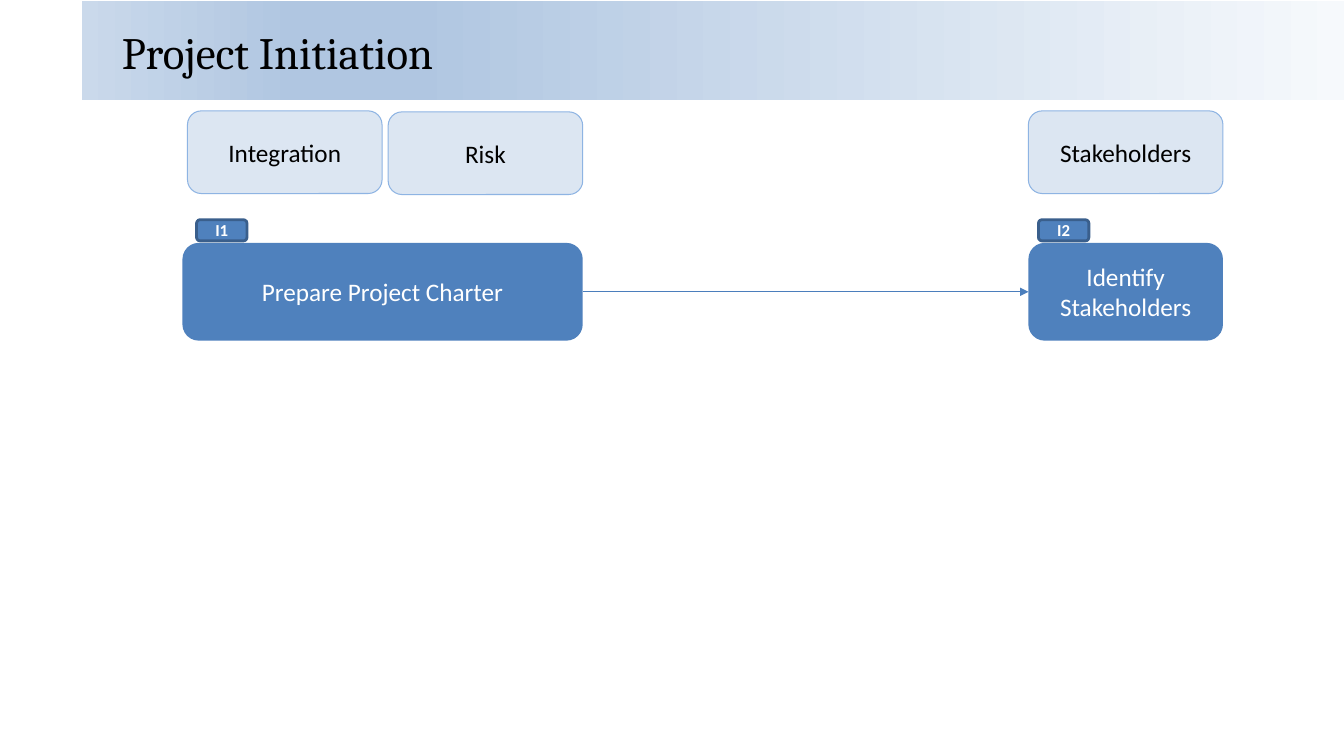
from lxml import etree
from pptx import Presentation
from pptx.dml.color import RGBColor
from pptx.enum.shapes import MSO_CONNECTOR, MSO_SHAPE
from pptx.enum.text import MSO_ANCHOR, PP_ALIGN
from pptx.oxml import parse_xml
from pptx.oxml.ns import nsdecls, qn
from pptx.util import Inches, Pt

RECTANGLE = MSO_SHAPE.RECTANGLE
ROUNDED = MSO_SHAPE.ROUNDED_RECTANGLE
STRAIGHT = MSO_CONNECTOR.STRAIGHT
MIDDLE = MSO_ANCHOR.MIDDLE
LEFT, CENTER = PP_ALIGN.LEFT, PP_ALIGN.CENTER

COLORS = {
    "process": "4F81BD", "badge_line": "3A5F8C", "arrow": "4B7EBC",
    "area": "DCE6F2", "area_line": "8EB4E3",
    "dark": "000000", "light": "FFFFFF",
}
BANNER_STOPS = [(0, "F6F9FC"), (74, "B0C6E1"), (83, "B0C6E1"), (100, "CAD9EB")]

# Grid: column lefts, row tops and box sizes in inches
SLIDE_WIDTH, SLIDE_HEIGHT = 13.33, 7.5
INTEGRATION_LEFT, RISK_LEFT, STAKEHOLDERS_LEFT = 1.86, 3.85, 10.2
CHARTER_LEFT = 1.81
COLUMN_WIDTH = 1.93
AREA_TOP, AREA_HEIGHT = 1.1, 0.82
BADGE_TOP, BADGE_WIDTH, BADGE_HEIGHT = 2.18, 0.5, 0.21
PROCESS_TOP, PROCESS_HEIGHT = 2.41, 0.97
RISK_RIGHT = RISK_LEFT + COLUMN_WIDTH


def color(name):
    return RGBColor.from_string(COLORS[name])


def write(shape, text, size, text_color, font="Calibri", bold=False, align=CENTER):
    frame = shape.text_frame
    frame.word_wrap = True
    frame.vertical_anchor = MIDDLE
    paragraph = frame.paragraphs[0]
    paragraph.alignment = align
    run = paragraph.add_run()
    run.text = text
    run.font.name = font
    run.font.size = Pt(size)
    run.font.bold = bold
    run.font.color.rgb = color(text_color)


def add_box(slide, left, top, width, height, fill, line=None, line_width=0.75):
    shape = slide.shapes.add_shape(
        ROUNDED, Inches(left), Inches(top), Inches(width), Inches(height))
    shape.shadow.inherit = False
    shape.fill.solid()
    shape.fill.fore_color.rgb = color(fill)
    if line:
        shape.line.color.rgb = color(line)
        shape.line.width = Pt(line_width)
    else:
        shape.line.fill.background()
    return shape


def add_area(slide, left, text, top=AREA_TOP):
    box = add_box(slide, left, top, COLUMN_WIDTH, AREA_HEIGHT, "area", "area_line")
    write(box, text, 18, "dark")


def add_process(slide, left, right, text):
    box = add_box(slide, left, PROCESS_TOP, right - left, PROCESS_HEIGHT, "process")
    write(box, text, 18, "light")


def add_badge(slide, left, text):
    box = add_box(slide, left, BADGE_TOP, BADGE_WIDTH, BADGE_HEIGHT,
                  "process", "badge_line", 2)
    frame = box.text_frame
    frame.margin_top = frame.margin_bottom = 0
    write(box, text, 12, "light", bold=True)


def add_arrow(slide, start, end, height):
    arrow = slide.shapes.add_connector(
        STRAIGHT, Inches(start), Inches(height), Inches(end), Inches(height))
    arrow.line.color.rgb = color("arrow")
    arrow.line.width = Pt(0.75)
    properties = arrow._element.spPr
    etree.SubElement(properties.find(qn("a:ln")), qn("a:tailEnd"), type="triangle")
    etree.SubElement(properties, qn("a:effectLst"))


def add_banner(slide):
    left = 0.81
    banner = slide.shapes.add_shape(
        RECTANGLE, Inches(left), Inches(0.01),
        Inches(SLIDE_WIDTH - left), Inches(0.98))
    banner.shadow.inherit = False
    banner.line.fill.background()
    banner.fill.gradient()
    # Four stops, running from right to left
    stops = "".join(
        f'<a:gs pos="{position * 1000}"><a:srgbClr val="{value}"/></a:gs>'
        for position, value in BANNER_STOPS)
    gradient = parse_xml(
        f'<a:gradFill {nsdecls("a")} rotWithShape="1"><a:gsLst>{stops}</a:gsLst>'
        '<a:lin ang="10800000" scaled="0"/></a:gradFill>')
    properties = banner._element.spPr
    properties.replace(properties.find(qn("a:gradFill")), gradient)


def add_title(slide, text):
    box = slide.shapes.add_textbox(
        Inches(1.11), Inches(0.06), Inches(11.78), Inches(0.91))
    write(box, text, 32, "dark", font="Cambria", align=LEFT)


def main():
    presentation = Presentation()
    presentation.slide_width = Inches(SLIDE_WIDTH)
    presentation.slide_height = Inches(SLIDE_HEIGHT)
    slide = presentation.slides.add_slide(presentation.slide_layouts[6])

    # Heading
    add_banner(slide)
    add_title(slide, "Project Initiation")

    # Processes and the flow between them
    add_process(slide, CHARTER_LEFT, RISK_RIGHT, "Prepare Project Charter")
    add_process(slide, STAKEHOLDERS_LEFT, STAKEHOLDERS_LEFT + COLUMN_WIDTH,
                "Identify Stakeholders")
    add_arrow(slide, RISK_RIGHT, STAKEHOLDERS_LEFT, PROCESS_TOP + PROCESS_HEIGHT / 2)

    # Knowledge areas
    add_area(slide, RISK_LEFT, "Risk", AREA_TOP + 0.01)
    add_area(slide, INTEGRATION_LEFT, "Integration")
    add_area(slide, STAKEHOLDERS_LEFT, "Stakeholders")

    # Process numbers
    add_badge(slide, 1.95, "I1")
    add_badge(slide, 10.3, "I2")

    presentation.save("out.pptx")


if __name__ == "__main__":
    main()
